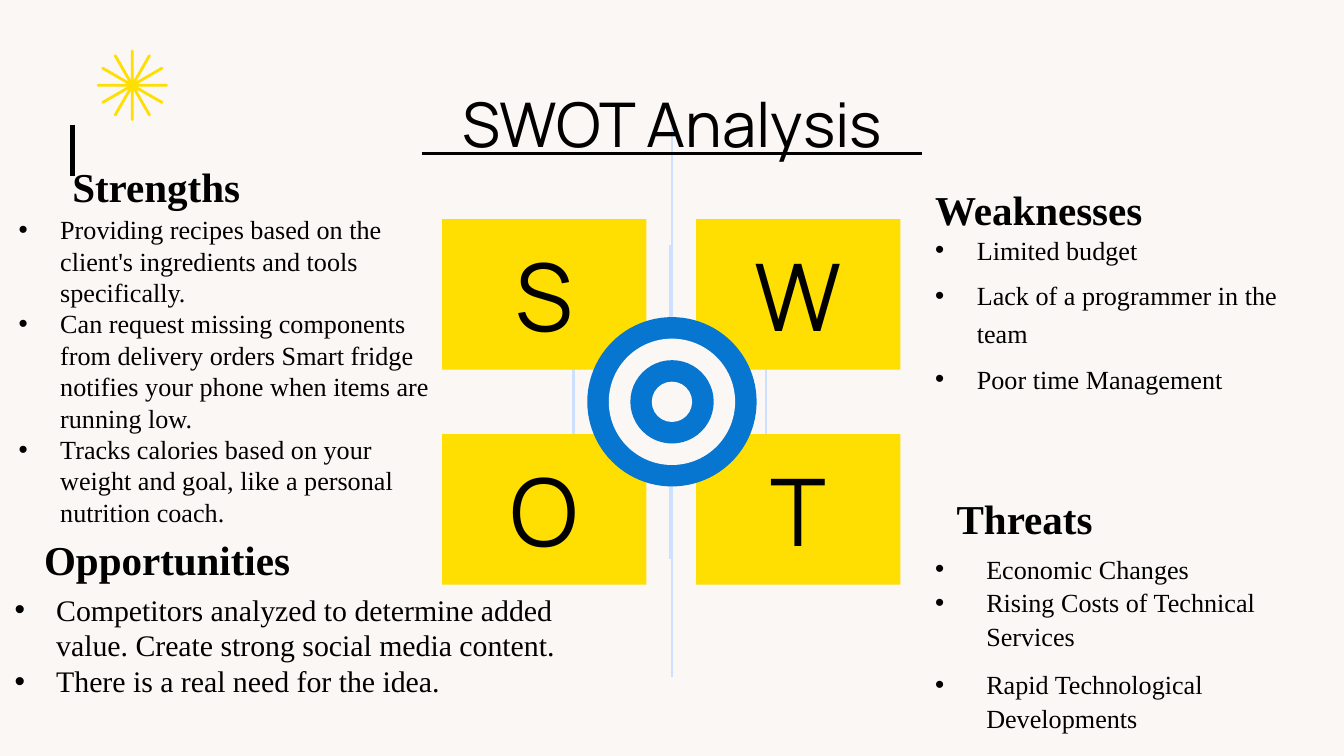
from lxml import etree
from pptx import Presentation, util as u
from pptx.dml.color import RGBColor
from pptx.enum import shapes, text
from pptx.oxml import ns

PX = 9144  # EMU per px, 100 px to the inch
BLACK = RGBColor(0x00, 0x00, 0x00)
CREAM = RGBColor(0xFB, 0xF7, 0xF4)
YELLOW = RGBColor(0xFF, 0xDE, 0x02)
BLUE = RGBColor(0x06, 0x76, 0xD0)
PALE_BLUE = RGBColor(0xCE, 0xE0, 0xFF)
SERIF, SANS = "Times New Roman", "Manrope"


def write(sp, lines, size, font=SERIF, bold=False, align=text.PP_ALIGN.LEFT,
          anchor=text.MSO_ANCHOR.TOP, top=10, indent=0, hang=0, spacing=None):
    """Fill a shape with paragraphs; hang > 0 adds bullets.

    spacing holds (line spacing, points before, points after) per paragraph.
    """
    tf = sp.text_frame
    tf.word_wrap = True
    tf.auto_size = text.MSO_AUTO_SIZE.NONE
    tf.vertical_anchor = anchor
    tf.margin_left = tf.margin_right = tf.margin_bottom = 10 * PX
    tf.margin_top = top * PX
    for i, line in enumerate(lines):
        p = tf.paragraphs[0] if i == 0 else tf.add_paragraph()
        p.alignment = align
        if hang:
            pPr = p._p.get_or_add_pPr()
            pPr.set("marL", str(indent * PX))
            pPr.set("indent", str(-hang * PX))
            clr = etree.SubElement(pPr, ns.qn("a:buClr"))
            etree.SubElement(clr, ns.qn("a:srgbClr"), val=str(BLACK))
            etree.SubElement(pPr, ns.qn("a:buFont"), typeface="Arial")
            etree.SubElement(pPr, ns.qn("a:buChar"), char="•")
        if spacing:
            p.line_spacing = spacing[i][0]
            p.space_before, p.space_after = map(u.Pt, spacing[i][1:])
        r = p.add_run()
        r.text = line
        r.font.size, r.font.name, r.font.bold = u.Pt(size), font, bold
        r.font.color.rgb = BLACK


def draw_line(x1, y1, x2, y2, color, width):
    s = sp_tree.add_connector(shapes.MSO_CONNECTOR.STRAIGHT,
                              x1 * PX, y1 * PX, x2 * PX, y2 * PX)
    s.line.color.rgb = color
    s.line.width = u.Pt(width)
    etree.SubElement(s._element.spPr, ns.qn("a:effectLst"))


prs = Presentation()
prs.slide_width = 1000 * PX
prs.slide_height = prs.slide_width * 9 // 16
slide = prs.slides.add_slide(prs.slide_layouts[6])
slide.background.fill.solid()
slide.background.fill.fore_color.rgb = CREAM
sp_tree = slide.shapes

# Accent bar and pale guide lines
draw_line(54, 93, 54, 131, BLACK, 3)
for i in range(5):
    x = 427 + round(i * 35.75)
    draw_line(x, 182, x, 416, PALE_BLUE, 1.5)
for i in range(7):
    y = 94 + round(i * 34.67)
    draw_line(500, y, 500, y + 202, PALE_BLUE, 1.5)

# Bulleted lists
lists = [
    ((-12, 430, 436, 86), 16, 44, 31, None,
     ["Competitors analyzed to determine added value. "
      "Create strong social media content.",
      "There is a real need for the idea."]),
    ((4, 149, 326, 173), 14, 31, 31, None,
     ["Providing recipes based on the client's ingredients and tools specifically.",
      "Can request missing components from delivery orders Smart fridge "
      "notifies your phone when items are running low.",
      "Tracks calories based on your weight and goal, like a personal nutrition coach."]),
    ((686, 164, 311, 131), 14, 31, 31, [(1.0, 0, 0), (1.2, 4.4, 0), (1.2, 4.4, 0)],
     ["Limited budget", "Lack of a programmer in the team", "Poor time Management"]),
    ((686, 400, 299, 148), 14, 38, 38, [(1.07, 0, 0), (1.07, 0, 8), (1.07, 0, 8)],
     ["Economic Changes", "Rising Costs of Technical Services",
      "Rapid Technological Developments"]),
]
for box, size, indent, hang, spacing, lines in lists:
    sp = sp_tree.add_textbox(*(v * PX for v in box))
    write(sp, lines, size, indent=indent, hang=hang, spacing=spacing)

# Title with rule
sp = sp_tree.add_textbox(79 * PX, 59 * PX, 843 * PX, 56 * PX)
write(sp, ["SWOT Analysis"], 33, font=SANS, align=text.PP_ALIGN.CENTER, top=5)
draw_line(314, 114, 686, 114, BLACK, 1.5)

# Headings
for heading, x, y, w in [("Strengths", 44, 110, 236), ("Opportunities", 23, 388, 269),
                         ("Weaknesses", 686, 127, 236), ("Threats", 702, 357, 236)]:
    sp = sp_tree.add_textbox(x * PX, y * PX, w * PX, 53 * PX)
    write(sp, [heading], 22, bold=True)

# Letter tiles
for i, letter in enumerate("SWOT"):
    x, y = 329 + i % 2 * 189, 163 + i // 2 * 160
    sp = sp_tree.add_shape(shapes.MSO_SHAPE.RECTANGLE, x * PX, y * PX, 152 * PX, 112 * PX)
    sp.shadow.inherit = False
    sp.fill.solid()
    sp.fill.fore_color.rgb = YELLOW
    sp.line.fill.background()
    write(sp, [letter], 50, font=SANS, align=text.PP_ALIGN.CENTER,
          anchor=text.MSO_ANCHOR.MIDDLE)

# Target rings around a common centre
for d, color in [(126, BLUE), (94, CREAM), (62, BLUE), (30, CREAM)]:
    sp = sp_tree.add_shape(shapes.MSO_SHAPE.OVAL, (500 - d // 2) * PX,
                           (299 - d // 2) * PX, d * PX, d * PX)
    sp.shadow.inherit = False
    sp.fill.solid()
    sp.fill.fore_color.rgb = color
    sp.line.fill.background()

# Star
sp = sp_tree.add_shape(shapes.MSO_SHAPE.STAR_12_POINT, 73 * PX, 38 * PX, 51 * PX, 51 * PX)
sp.adjustments[0] = 0
sp.shadow.inherit = False
sp.fill.solid()
sp.fill.fore_color.rgb = YELLOW
sp.line.color.rgb = YELLOW
sp.line.width = u.Pt(1.5)

prs.save("out.pptx")
